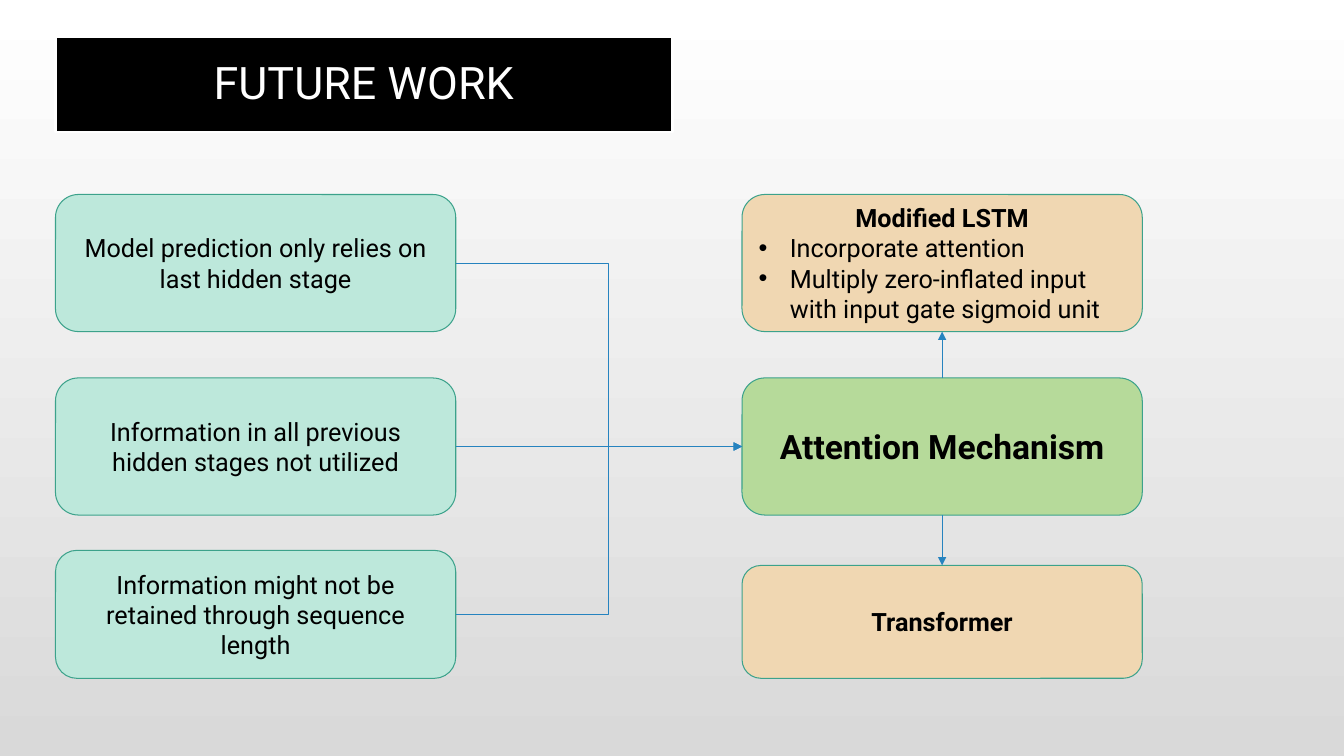
from dataclasses import dataclass

from lxml import etree
from pptx import Presentation
from pptx.dml.color import RGBColor
from pptx.enum.shapes import MSO_CONNECTOR, MSO_SHAPE
from pptx.enum.text import MSO_ANCHOR, PP_ALIGN
from pptx.oxml.ns import qn
from pptx.util import Inches, Pt

RECT, ROUND = MSO_SHAPE.RECTANGLE, MSO_SHAPE.ROUNDED_RECTANGLE
LINE, BENT = MSO_CONNECTOR.STRAIGHT, MSO_CONNECTOR.ELBOW
LEFT, CENTER = PP_ALIGN.LEFT, PP_ALIGN.CENTER
MIDDLE = MSO_ANCHOR.MIDDLE
TOP, WEST, BOTTOM, EAST = range(4)


@dataclass(frozen=True)
class Theme:
    font: str = "Roboto"
    black: str = "000000"
    white: str = "FFFFFF"
    gray: str = "D9D9D9"
    mint: str = "BDE8DB"
    green: str = "B6DA9A"
    sand: str = "F0D7B2"
    edge: str = "3CA28B"
    arrow: str = "2683BF"
    title: int = 32
    key: int = 24
    body: int = 18
    thin: float = 0.75
    thick: float = 1.75


THEME = Theme()
WIDE, HIGH = Inches(13.33), Inches(7.5)

# Columns and rows, in percent of the slide's width and height
COL_A, COL_B, COL_W = 4.13, 55.21, 29.78
ROW_1, ROW_2, ROW_H = 25.73, 50, 18.13
FOOT = 89.73
BEND = 0.535


def rgb(code):
    return RGBColor.from_string(code)


def put(obj, values):
    for name, value in values.items():
        setattr(obj, name, value)


def stroke(line, color, width):
    line.color.rgb = rgb(color)
    line.width = Pt(width)


def paint(slide):
    """Fill the background with a gradient from top to bottom."""
    fill = slide.background.fill
    fill.gradient()
    fill.gradient_angle = 270
    for stop, color in zip(fill.gradient_stops, (THEME.white, THEME.gray)):
        stop.color.rgb = rgb(color)


def write(par, text, size, color, bold=False, align=CENTER):
    par.alignment = align
    run = par.add_run()
    run.text = text
    put(run.font, {"name": THEME.font, "size": Pt(size), "bold": bold})
    run.font.color.rgb = rgb(color)


def bullet(par):
    props = par._p.get_or_add_pPr()
    props.set("marL", str(Inches(0.31)))
    props.set("indent", str(Inches(-0.31)))
    etree.SubElement(props, qn("a:buFont"), typeface="Arial")
    etree.SubElement(props, qn("a:buChar"), char="•")


def box(slide, kind, area, fill, edge, width):
    x, y, w, h = area
    shape = slide.shapes.add_shape(
        kind, int(WIDE * x / 100), int(HIGH * y / 100),
        int(WIDE * w / 100), int(HIGH * h / 100))
    shape.shadow.inherit = False
    shape.fill.solid()
    shape.fill.fore_color.rgb = rgb(fill)
    stroke(shape.line, edge, width)
    put(shape.text_frame, {"word_wrap": True, "vertical_anchor": MIDDLE})
    return shape


def card(slide, col, row, high, fill, text, size=THEME.body, bold=False,
         items=()):
    """Add a rounded box with centred text and a list below it."""
    area = col, row, COL_W, high
    shape = box(slide, ROUND, area, fill, THEME.edge, THEME.thin)
    frame = shape.text_frame
    write(frame.paragraphs[0], text, size, THEME.black, bold)
    for item in items:
        par = frame.add_paragraph()
        write(par, item, size, THEME.black, align=LEFT)
        bullet(par)
    return shape


def arrow(slide, kind, start, out, end, into):
    link = slide.shapes.add_connector(kind, 0, 0, 0, 0)
    link.begin_connect(start, out)
    link.end_connect(end, into)
    stroke(link.line, THEME.arrow, THEME.thin)
    props = link._element.spPr
    etree.SubElement(link.line._get_or_add_ln(), qn("a:tailEnd"),
                     type="triangle")
    etree.SubElement(props, qn("a:effectLst"))
    if kind == BENT:
        guides = props.find(qn("a:prstGeom")).get_or_add_avLst()
        etree.SubElement(guides, qn("a:gd"), name="adj1",
                         fmla=f"val {round(BEND * 100000)}")


def main():
    deck = Presentation()
    put(deck, {"slide_width": WIDE, "slide_height": HIGH})
    slide = deck.slides.add_slide(deck.slide_layouts[6])
    paint(slide)

    # Title
    head = box(slide, RECT, (COL_A, 4.93, 45.91, 12.53),
               THEME.black, THEME.white, THEME.thick)
    par = head.text_frame.paragraphs[0]
    par.line_spacing = 0.9
    write(par, "FUTURE WORK", THEME.title, THEME.white)

    # Limits on the left
    limits = [
        card(slide, COL_A, row, high, THEME.mint, text)
        for row, high, text in (
            (ROW_1, ROW_H, "Model prediction only relies on last hidden stage"),
            (ROW_2, ROW_H,
             "Information in all previous hidden stages not utilized"),
            (72.8, FOOT - 72.8,
             "Information might not be retained through sequence length"),
        )
    ]

    # Remedy and its two forms on the right
    core = card(slide, COL_B, ROW_2, ROW_H, THEME.green,
                "Attention Mechanism", THEME.key, True)
    lstm = card(slide, COL_B, ROW_1, ROW_H, THEME.sand, "Modified LSTM",
                bold=True, items=(
                    "Incorporate attention",
                    "Multiply zero-inflated input with input gate sigmoid unit",
                ))
    former = card(slide, COL_B, 74.8, FOOT - 74.8, THEME.sand,
                  "Transformer", bold=True)

    # Arrows
    for limit, kind in zip(limits, (BENT, LINE, BENT)):
        arrow(slide, kind, limit, EAST, core, WEST)
    arrow(slide, LINE, core, TOP, lstm, BOTTOM)
    arrow(slide, LINE, core, BOTTOM, former, TOP)

    deck.save("out.pptx")


if __name__ == "__main__":
    main()
